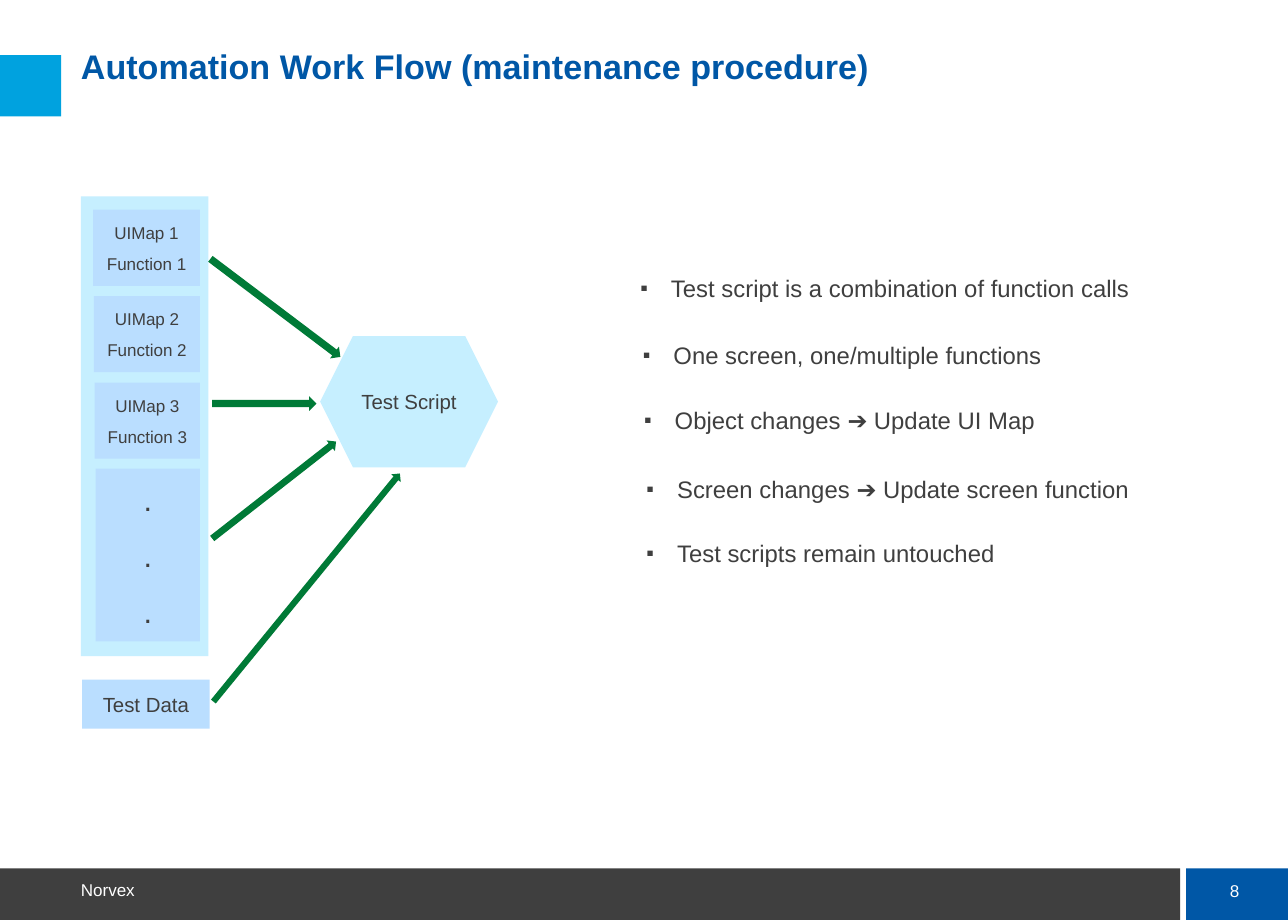
import math
from dataclasses import dataclass

from lxml import etree
from pptx import Presentation
from pptx import util as u
from pptx.dml.color import RGBColor
from pptx.enum import shapes, text
from pptx.oxml.ns import qn

# The page is a grid of 105 columns by 75 rows of square cells.
COLUMNS, ROWS = 105, 75
CELL = u.Inches(0.1)


@dataclass(frozen=True)
class Theme:
    font: str = "Arial"
    ink: str = "3F3F3F"
    navy: str = "0057A6"
    cyan: str = "00A2DF"
    pale: str = "C6EFFF"
    sky: str = "BADEFF"
    green: str = "007A37"
    white: str = "FFFFFF"
    title: int = 20
    dots: int = 18
    body: int = 14
    label: int = 12
    small: int = 10


THEME = Theme()
RECTANGLE = shapes.MSO_SHAPE.RECTANGLE
LEFT, CENTER = text.PP_ALIGN.LEFT, text.PP_ALIGN.CENTER
TOP, MIDDLE = text.MSO_ANCHOR.TOP, text.MSO_ANCHOR.MIDDLE


@dataclass(frozen=True)
class Area:
    column: float
    row: float
    width: float
    height: float

    def emu(self) -> tuple[int, ...]:
        return tuple(round(side * CELL)
                     for side in (self.column, self.row, self.width, self.height))


@dataclass(frozen=True)
class Words:
    lines: tuple[str, ...]
    size: int
    color: str = THEME.ink
    bold: bool = False
    align: text.PP_ALIGN = CENTER
    anchor: text.MSO_ANCHOR = TOP
    inset: float = 0
    gap: float = 0
    leading: float = 1.0
    bullet: bool = False


@dataclass(frozen=True)
class Block:
    area: Area
    fill: str
    words: Words | None = None
    kind: shapes.MSO_SHAPE = RECTANGLE


@dataclass(frozen=True)
class Label:
    area: Area
    words: Words


@dataclass(frozen=True)
class Arrow:
    """A thick arrow between two (column, row) points."""
    tail: tuple[float, float]
    head: tuple[float, float]
    thickness: float = 1.2


def add_bullet(para) -> None:
    properties = para._p.get_or_add_pPr()
    indent = u.Inches(0.25)
    properties.set("marL", str(indent))
    properties.set("indent", str(-indent))
    color = etree.SubElement(properties, qn("a:buClr"))
    etree.SubElement(color, qn("a:srgbClr"), val=THEME.ink)
    etree.SubElement(properties, qn("a:buSzPct"), val="90000")
    etree.SubElement(properties, qn("a:buFont"), typeface=THEME.font)
    etree.SubElement(properties, qn("a:buChar"), char="▪")


def write(box, words: Words) -> None:
    frame = box.text_frame
    frame.word_wrap = True
    frame.vertical_anchor = words.anchor
    frame.margin_left = frame.margin_right = round(words.inset * CELL)
    frame.margin_top = frame.margin_bottom = round(words.inset * CELL)
    for index, line in enumerate(words.lines):
        para = frame.add_paragraph() if index else frame.paragraphs[0]
        if words.bullet:
            add_bullet(para)
        para.alignment = words.align
        para.line_spacing = words.leading
        if index:
            para.space_before = u.Pt(words.gap)
        span = para.add_run()
        span.text = line
        span.font.name = THEME.font
        span.font.size = u.Pt(words.size)
        span.font.bold = words.bold
        span.font.color.rgb = RGBColor.from_string(words.color)


def paint(shape, fill: str) -> None:
    shape.shadow.inherit = False
    shape.fill.solid()
    shape.fill.fore_color.rgb = RGBColor.from_string(fill)
    shape.line.fill.background()


def draw_block(page, block: Block) -> None:
    shape = page.shapes.add_shape(block.kind, *block.area.emu())
    paint(shape, block.fill)
    if block.words:
        write(shape, block.words)


def draw_label(page, label: Label) -> None:
    write(page.shapes.add_textbox(*label.area.emu()), label.words)


def draw_arrow(page, arrow: Arrow) -> None:
    (x1, y1), (x2, y2) = arrow.tail, arrow.head
    length = math.hypot(x2 - x1, y2 - y1)
    area = Area((x1 + x2 - length) / 2, (y1 + y2 - arrow.thickness) / 2,
                length, arrow.thickness)
    shape = page.shapes.add_shape(shapes.MSO_SHAPE.RIGHT_ARROW, *area.emu())
    shape.rotation = math.degrees(math.atan2(y2 - y1, x2 - x1))
    paint(shape, THEME.green)


def function_block(index: int) -> Block:
    left = 7.6 + 0.06 * index
    number = index + 1
    words = Words((f"UIMap {number}", f"Function {number}"), THEME.small, inset=1, gap=6.2)
    return Block(Area(left, 17.1 + 7.05 * index, 16.3 - left, 6.2), THEME.sky, words)


BLOCKS = [
    Block(Area(0, 70.8, 96.2, 4.2), THEME.ink),
    Block(Area(96.7, 70.8, 8.3, 4.2), THEME.navy),
    Block(Area(0, 4.5, 5, 5), THEME.cyan),
    Block(Area(6.6, 16, 10.4, 37.5), THEME.pale),
    *(function_block(index) for index in range(3)),
    Block(Area(7.8, 38.2, 8.5, 14.1), THEME.sky,
          Words((".", ".", "."), THEME.dots, inset=1, gap=11.2)),
    Block(Area(26.1, 27.4, 14.5, 10.7), THEME.pale,
          Words(("Test Script",), THEME.label, anchor=MIDDLE, inset=1),
          shapes.MSO_SHAPE.HEXAGON),
    Block(Area(6.7, 55.4, 10.4, 4), THEME.sky,
          Words(("Test Data",), THEME.label, inset=1)),
]

ARROWS = [
    Arrow((17.15, 21.1), (27.75, 29.1)),
    Arrow((17.3, 43.9), (27.4, 36), 1.1),
    Arrow((17.3, 32.9), (25.8, 32.9)),
    Arrow((17.4, 57.2), (32.6, 38.6), 1),
]

POINTS = [
    (52.2, 22.3, "Test script is a combination of function calls"),
    (52.4, 27.8, "One screen, one/multiple functions"),
    (52.5, 33.1, "Object changes ➔ Update UI Map"),
    (52.7, 38.7, "Screen changes ➔ Update screen function"),
    (52.7, 43.9, "Test scripts remain untouched"),
]

LABELS = [
    Label(Area(6.6, 4.1, 89.6, 6.6),
          Words(("Automation Work Flow (maintenance procedure)",), THEME.title,
                THEME.navy, bold=True, align=LEFT, leading=0.9)),
    Label(Area(98.2, 71.3, 4.9, 2.7),
          Words(("8",), THEME.small, THEME.white, anchor=MIDDLE)),
    Label(Area(6.6, 71.5, 41.9, 1.9),
          Words(("Norvex",), THEME.small, THEME.white, align=LEFT,
                anchor=text.MSO_ANCHOR.BOTTOM)),
    *(Label(Area(column, row, 45.1, 3.6),
            Words((point,), THEME.body, align=LEFT, bullet=True))
      for column, row, point in POINTS),
]


def main() -> None:
    deck = Presentation()
    deck.slide_width, deck.slide_height = COLUMNS * CELL, ROWS * CELL
    page = deck.slides.add_slide(deck.slide_layouts[6])
    for block in BLOCKS:
        draw_block(page, block)
    for arrow in ARROWS:
        draw_arrow(page, arrow)
    for label in LABELS:
        draw_label(page, label)
    deck.save("out.pptx")


if __name__ == "__main__":
    main()
